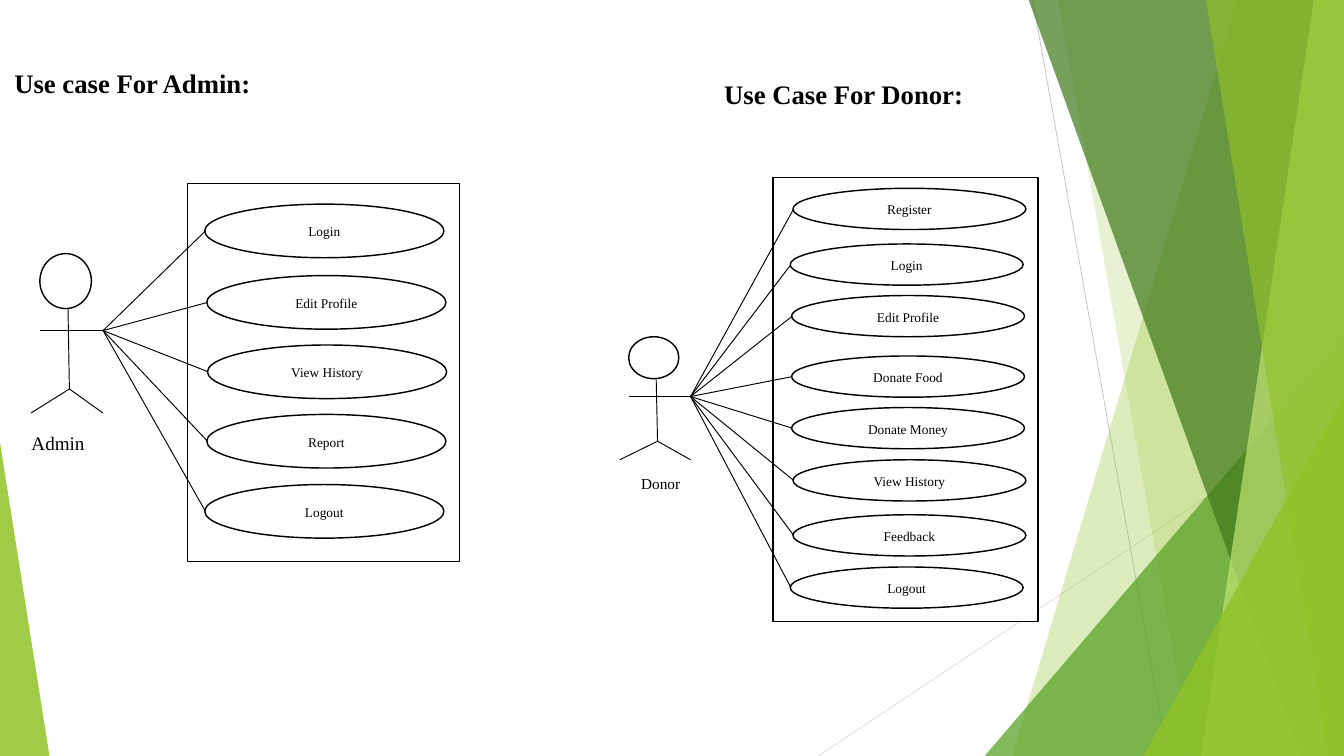
"""Build a slide with the use case diagrams of the admin and the donor."""
from typing import NamedTuple

from lxml import etree
from pptx import Presentation
from pptx.dml.color import RGBColor
from pptx.enum.shapes import MSO_CONNECTOR, MSO_SHAPE
from pptx.enum.text import MSO_ANCHOR, PP_ALIGN
from pptx.oxml.ns import qn
from pptx.util import Inches, Pt

RECT, OVAL, TRIANGLE = MSO_SHAPE.RECTANGLE, MSO_SHAPE.OVAL, MSO_SHAPE.ISOSCELES_TRIANGLE
STRAIGHT = MSO_CONNECTOR.STRAIGHT
LEFT, CENTER = PP_ALIGN.LEFT, PP_ALIGN.CENTER
TOP, MIDDLE = MSO_ANCHOR.TOP, MSO_ANCHOR.MIDDLE

COLS, ROWS = 19.56, 11
CELL = Inches(1)
FONT = "Times New Roman"
COLORS = {
    "ink": "000000", "paper": "FFFFFF", "gray": "BFBFBF", "silver": "D9D9D9",
    "lime": "90C226", "green": "54A021", "forest": "3F7819", "pale": "C0E474",
}


class Point(NamedTuple):
    x: float
    y: float


class Box(NamedTuple):
    x: float
    y: float
    w: float
    h: float


class Band(NamedTuple):
    top_left: float
    bottom_right: float
    bottom_left: float
    color: str
    alpha: int


class Wedge(NamedTuple):
    box: Box
    apex: float
    color: str
    alpha: int


class UseCase(NamedTuple):
    text: str
    x: float
    y: float


class Actor(NamedTuple):
    head: Box
    neck: Point
    hip: Point
    hand: Point
    foot: Point
    name: str
    label: Box
    size: int
    align: PP_ALIGN


class Diagram(NamedTuple):
    title: str
    title_box: Box
    frame: Box
    oval_w: float
    oval_h: float
    cases: list[UseCase]
    actor: Actor


BACKDROP = [
    Band(18.01, COLS, 14.73, "lime", 30),
    Band(15.4, COLS, 17.34, "lime", 20),
    Wedge(Box(14.33, 4.89, 5.23, 6.11), 1, "green", 72),
    Band(14.97, COLS, 18.94, "forest", 70),
    Band(19.12, COLS, 17.48, "pale", 70),
    Band(17.55, COLS, 19.33, "lime", 65),
    Wedge(Box(16.64, 5.76, 2.92, 5.24), 1, "lime", 80),
    Wedge(Box(0, 6.44, 0.72, 4.56), 0, "lime", 85),
]

DIAGRAMS = [
    Diagram(
        "Use case For Admin:", Box(0.11, 0.92, 5.75, 0.57), Box(2.73, 2.67, 3.96, 5.5), 3.48, 0.78,
        [UseCase("Login", 2.98, 2.97), UseCase("Edit Profile", 3.01, 4.01),
         UseCase("View History", 3.02, 5.02), UseCase("Report", 3.01, 6.03),
         UseCase("Logout", 2.98, 7.05)],
        Actor(Box(0.58, 3.69, 0.75, 0.8), Point(0.99, 4.49), Point(1.01, 5.66), Point(1.5, 4.81),
              Point(0.45, 6.01), "Admin", Box(0.36, 6.21, 1.38, 0.58), 20, LEFT)),
    Diagram(
        "Use Case For Donor:", Box(10.44, 1.08, 5.9, 0.57), Box(11.25, 2.58, 3.86, 6.46), 3.39, 0.6,
        [UseCase("Register", 11.54, 2.74), UseCase("Login", 11.5, 3.55),
         UseCase("Edit Profile", 11.52, 4.3), UseCase("Donate Food", 11.52, 5.18),
         UseCase("Donate Money", 11.52, 5.93), UseCase("View History", 11.54, 6.69),
         UseCase("Feedback", 11.54, 7.49), UseCase("Logout", 11.5, 8.25)],
        Actor(Box(9.15, 4.9, 0.73, 0.61), Point(9.55, 5.52), Point(9.57, 6.42), Point(10.05, 5.77),
              Point(9.02, 6.69), "Donor", Box(8.94, 6.84, 1.35, 0.44), 16, CENTER)),
]


def cells(values) -> list[int]:
    return [round(v * CELL) for v in values]


def rgb(color: str) -> RGBColor:
    return RGBColor.from_string(COLORS[color])


def paint(sp, color: str, *, alpha: int = 100, line: float = 0) -> None:
    sp.shadow.inherit = False
    sp.fill.solid()
    sp.fill.fore_color.rgb = rgb(color)
    if alpha < 100:
        clr = sp.fill._xPr.find(qn("a:solidFill"))[0]
        etree.SubElement(clr, qn("a:alpha"), val=str(alpha * 1000))
    if line:
        sp.line.color.rgb = rgb("ink")
        sp.line.width = Pt(line)
    else:
        sp.line.fill.background()


def add_shape(slide, kind, box: Box, *, line: float = 0):
    sp = slide.shapes.add_shape(kind, *cells(box))
    paint(sp, "paper", line=line)
    return sp


def add_line(slide, start: Point, end: Point, *, color: str = "ink", width: float = 1) -> None:
    sp = slide.shapes.add_connector(STRAIGHT, *cells(start + end))
    sp.line.color.rgb = rgb(color)
    sp.line.width = Pt(width)
    etree.SubElement(sp._element.spPr, qn("a:effectLst"))


def set_text(sp, text: str, *, size: int, bold: bool = False, align=LEFT, anchor=TOP,
             spacing: float = 1.07, after: int = 8) -> None:
    tf = sp.text_frame
    tf.word_wrap = True
    tf.vertical_anchor = anchor
    p = tf.paragraphs[0]
    p.alignment, p.line_spacing, p.space_after = align, spacing, Pt(after)
    r = p.add_run()
    r.text = text
    r.font.name, r.font.size, r.font.bold = FONT, Pt(size), bold
    r.font.color.rgb = rgb("ink")


def add_band(slide, band: Band) -> None:
    start, *rest = [(band.top_left, 0), (COLS, 0), (band.bottom_right, ROWS), (band.bottom_left, ROWS)]
    builder = slide.shapes.build_freeform(*cells(start))
    builder.add_line_segments([tuple(cells(point)) for point in rest])
    paint(builder.convert_to_shape(), band.color, alpha=band.alpha)


def add_wedge(slide, wedge: Wedge) -> None:
    sp = slide.shapes.add_shape(TRIANGLE, *cells(wedge.box))
    sp.adjustments[0] = wedge.apex
    paint(sp, wedge.color, alpha=wedge.alpha)


def add_actor(slide, actor: Actor) -> None:
    add_shape(slide, OVAL, actor.head, line=1.5)
    add_line(slide, actor.neck, actor.hip)
    add_line(slide, Point(actor.head.x, actor.hand.y), actor.hand)
    for x in (actor.foot.x, actor.hand.x):
        add_line(slide, actor.hip, Point(x, actor.foot.y))
    sp = add_shape(slide, RECT, actor.label)
    set_text(sp, actor.name, size=actor.size, align=actor.align)


def add_diagram(slide, diagram: Diagram) -> None:
    add_shape(slide, RECT, diagram.frame, line=1.5)
    for case in diagram.cases:
        sp = add_shape(slide, OVAL, Box(case.x, case.y, diagram.oval_w, diagram.oval_h), line=1.5)
        set_text(sp, case.text, size=14, align=CENTER, anchor=MIDDLE)
    add_actor(slide, diagram.actor)
    for case in diagram.cases:
        add_line(slide, diagram.actor.hand, Point(case.x + 0.01, case.y + diagram.oval_h / 2))
    sp = slide.shapes.add_textbox(*cells(diagram.title_box))
    set_text(sp, diagram.title, size=28, bold=True, spacing=1, after=0)


def main() -> None:
    prs = Presentation()
    prs.slide_width, prs.slide_height = cells((COLS, ROWS))
    slide = prs.slides.add_slide(prs.slide_layouts[6])
    add_line(slide, Point(15.03, 0), Point(16.99, ROWS), color="gray", width=0.75)
    add_line(slide, Point(COLS, 5.9), Point(11.91, ROWS), color="silver", width=0.75)
    for part in BACKDROP:
        (add_band if isinstance(part, Band) else add_wedge)(slide, part)
    for diagram in DIAGRAMS:
        add_diagram(slide, diagram)
    prs.save("out.pptx")


if __name__ == "__main__":
    main()
